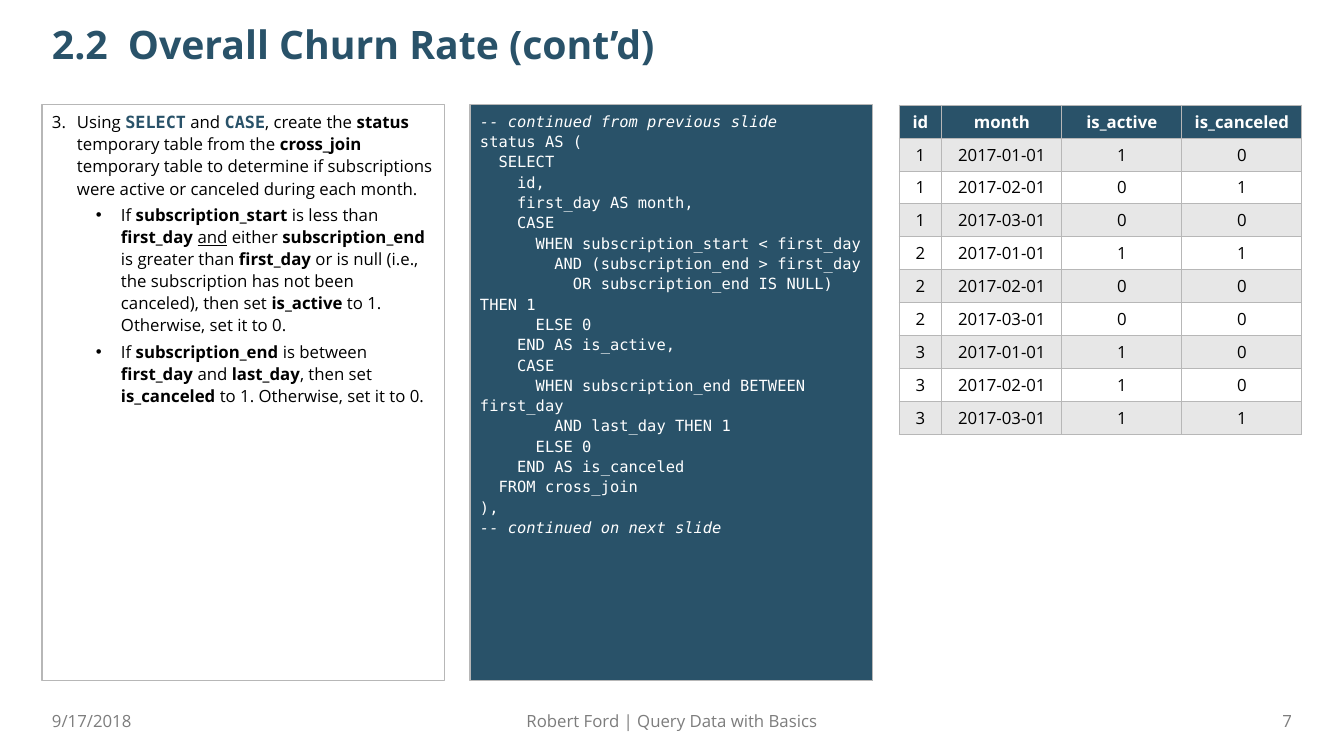
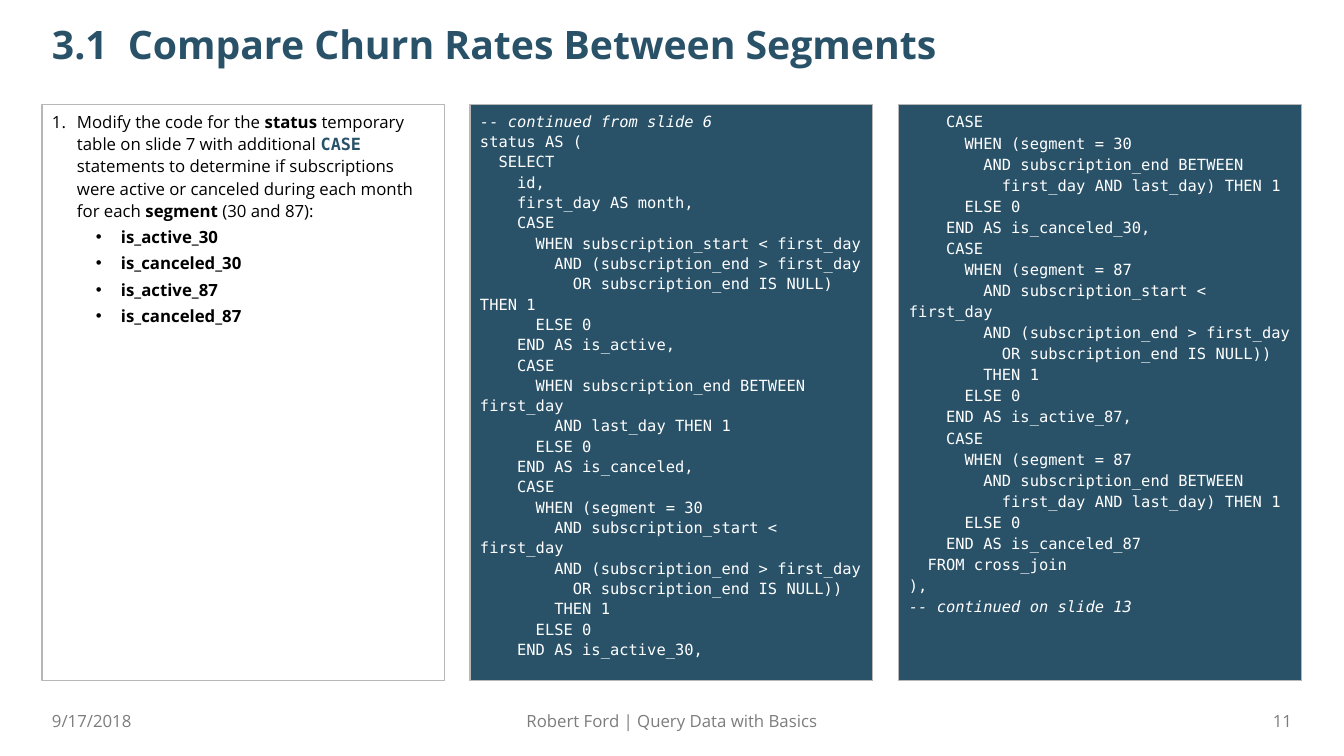
from dataclasses import dataclass

from lxml import etree
from pptx import Presentation
from pptx.dml.color import RGBColor
from pptx.enum.shapes import MSO_SHAPE
from pptx.enum.text import MSO_ANCHOR, PP_ALIGN
from pptx.oxml.ns import qn
from pptx.util import Emu, Pt


@dataclass(frozen=True)
class Theme:
    """Colours, fonts and type sizes shared by all slides."""
    navy: str = "295269"
    border: str = "B7B7B7"
    stripe: str = "E7E7E7"
    white: str = "FFFFFF"
    black: str = "000000"
    muted: str = "7D7D7D"
    sans: str = "Open Sans"
    mono: str = "DejaVu Sans Mono"
    title_size: float = 28
    body_size: float = 12
    code_size: float = 11
    body_leading: float = 15.8
    code_leading: float = 14.5
    loose_leading: float = 15.05
    rule: float = 0.75


T = Theme()
WIDTH, HEIGHT = 1344, 756
MARGIN, CONTENT = 42, 1260
COLUMN, COLUMN_TOP, COLUMN_HEIGHT = 403, 105, 576


def px(length):
    """Convert pixels to EMU at 100.8 pixels to the inch."""
    return Emu(round(length * 914400 / 100.8))


def column(index):
    """Return the box of one of the three evenly spaced columns."""
    left = MARGIN + index * (CONTENT - COLUMN) // 2
    return left, COLUMN_TOP, COLUMN, COLUMN_HEIGHT


def prepare(frame, anchor=MSO_ANCHOR.TOP):
    """Give a text frame wrapping, insets and an anchor."""
    frame.word_wrap = True
    frame.vertical_anchor = anchor
    frame.margin_left = frame.margin_right = px(10)
    frame.margin_top = frame.margin_bottom = px(5)


def add_run(paragraph, text, size, color, font=T.sans, bold=False,
            italic=False, underline=False):
    """Append a styled run."""
    run = paragraph.add_run()
    run.text = text
    style = run.font
    style.name, style.size = font, Pt(size)
    style.color.rgb = RGBColor.from_string(color)
    style.bold, style.italic, style.underline = bold, italic, underline


def hang(paragraph, left, hanging):
    """Set a hanging indent and return the paragraph properties."""
    properties = paragraph._p.get_or_add_pPr()
    properties.set("marL", str(px(left)))
    properties.set("indent", str(-px(hanging)))
    return properties


def add_label(slide, box, text, size, color, align=PP_ALIGN.LEFT, bold=False):
    """Add a single-line, vertically centred text box."""
    frame = slide.shapes.add_textbox(*map(px, box)).text_frame
    prepare(frame, MSO_ANCHOR.MIDDLE)
    paragraph = frame.paragraphs[0]
    paragraph.alignment = align
    add_run(paragraph, text, size, color, bold=bold)
    return paragraph


def add_panel(slide, box, fill=None):
    """Add a bordered rectangle and return its text frame."""
    panel = slide.shapes.add_shape(MSO_SHAPE.RECTANGLE, *map(px, box))
    panel.shadow.inherit = False
    if fill:
        panel.fill.solid()
        panel.fill.fore_color.rgb = RGBColor.from_string(fill)
    else:
        panel.fill.background()
    panel.line.color.rgb = RGBColor.from_string(T.border)
    panel.line.width = Pt(T.rule)
    prepare(panel.text_frame)
    return panel.text_frame


def next_paragraph(frame, index, leading):
    """Return a left-aligned paragraph with fixed line spacing."""
    paragraph = frame.add_paragraph() if index else frame.paragraphs[0]
    paragraph.alignment = PP_ALIGN.LEFT
    paragraph.line_spacing = Pt(leading)
    return paragraph


MARKS = {
    "*": dict(bold=True, color=T.black),
    "~": dict(underline=True, color=T.black),
    "`": dict(bold=True, color=T.navy, font=T.mono),
}


def add_marked_text(paragraph, text):
    """Write text where *bold*, ~underline~ and `keyword` spans are marked."""
    plain = dict(color=T.black)
    style, span = plain, ""
    for char in text:
        if char not in MARKS:
            span += char
            continue
        if span:
            add_run(paragraph, span, T.body_size, **style)
        style, span = (MARKS[char] if style is plain else plain), ""
    if span:
        add_run(paragraph, span, T.body_size, **style)


def add_step(slide, box, number, step, bullets):
    """Add the panel with one numbered step and its bullets."""
    frame = add_panel(slide, box)
    for index, text in enumerate([step, *bullets]):
        paragraph = next_paragraph(frame, index, T.body_leading)
        paragraph.space_before = Pt(3)
        if index:
            paragraph.level = 1
            properties = hang(paragraph, 69, 25)
            etree.SubElement(properties, qn("a:buFont"), typeface="Arial")
            etree.SubElement(properties, qn("a:buChar"), char="•")
        else:
            properties = hang(paragraph, 25, 25)
            etree.SubElement(properties, qn("a:buAutoNum"),
                             type="arabicPeriod", startAt=str(number))
        add_marked_text(paragraph, text)


def add_code(slide, box, lines, leading=T.code_leading):
    """Add a dark code panel; SQL comments are italic."""
    frame = add_panel(slide, box, T.navy)
    for index, line in enumerate(lines):
        add_run(next_paragraph(frame, index, leading), line, T.code_size,
                T.white, T.mono, italic=line.startswith("--"))


def add_borders(cell):
    """Draw thin lines on all four sides of a cell."""
    properties = cell._tc.get_or_add_tcPr()
    for side in "LRTB":
        line = etree.SubElement(properties, qn(f"a:ln{side}"),
                                w=str(Pt(T.rule)))
        fill = etree.SubElement(line, qn("a:solidFill"))
        etree.SubElement(fill, qn("a:srgbClr"), val=T.border)


def add_result_table(slide, box, widths, rows, row_height=33):
    """Add a striped table whose first row is the header."""
    left, top, width, _ = box
    size = (left, top, width, row_height * len(rows))
    table = slide.shapes.add_table(len(rows), len(widths),
                                   *map(px, size)).table
    for table_column, column_width in zip(table.columns, widths):
        table_column.width = px(column_width)
    for r, values in enumerate(rows):
        table.rows[r].height = px(row_height)
        header = r == 0
        fill = T.navy if header else (T.stripe if r % 2 else T.white)
        for c, value in enumerate(values):
            cell = table.cell(r, c)
            add_borders(cell)
            cell.fill.solid()
            cell.fill.fore_color.rgb = RGBColor.from_string(fill)
            paragraph = cell.text_frame.paragraphs[0]
            paragraph.alignment = PP_ALIGN.CENTER
            add_run(paragraph, str(value), T.body_size,
                    T.white if header else T.black, bold=header)


def add_footer(slide, page):
    """Add the date, the centred deck name and the page number."""
    top, height, side, middle = 701, 40, 302, 630
    for left, width, text, align in (
            (MARGIN, side, "9/17/2018", PP_ALIGN.LEFT),
            ((WIDTH - middle) // 2, middle,
             "Robert Ford | Query Data with Basics", PP_ALIGN.CENTER),
            (MARGIN + CONTENT - side, side, str(page), PP_ALIGN.RIGHT)):
        add_label(slide, (left, top, width, height), text, T.body_size,
                  T.muted, align)


def add_base_slide(deck, number, title, page):
    """Add a blank slide with its numbered title and footer."""
    slide = deck.slides.add_slide(deck.slide_layouts[6])
    heading = add_label(slide, (MARGIN, 15, CONTENT, 63),
                        f"{number}\t{title}", T.title_size, T.navy, bold=True)
    heading.line_spacing = 0.9
    hang(heading, 76, 76)
    add_footer(slide, page)
    return slide


STATUS_QUERY = """status AS (
  SELECT
    id,
    first_day AS month,
    CASE
      WHEN subscription_start < first_day
        AND (subscription_end > first_day
          OR subscription_end IS NULL) THEN 1
      ELSE 0
    END AS is_active,
    CASE
      WHEN subscription_end BETWEEN first_day
        AND last_day THEN 1
      ELSE 0
    END AS is_canceled""".split("\n")
QUERY_END = ["  FROM cross_join", "),"]


def active_case(segment):
    """Return the code lines of a segment's is_active column."""
    return f"""    CASE
      WHEN (segment = {segment}
        AND subscription_start < first_day
        AND (subscription_end > first_day
          OR subscription_end IS NULL))
        THEN 1
      ELSE 0
    END AS is_active_{segment},""".split("\n")


def canceled_case(segment, ending=""):
    """Return the code lines of a segment's is_canceled column."""
    return f"""    CASE
      WHEN (segment = {segment}
        AND subscription_end BETWEEN
          first_day AND last_day) THEN 1
      ELSE 0
    END AS is_canceled_{segment}{ending}""".split("\n")


def build_overall_churn(deck):
    """Build the slide on the status table and its result."""
    slide = add_base_slide(deck, "2.2", "Overall Churn Rate (cont’d)", 7)
    add_step(slide, column(0), 3,
             "Using `SELECT` and `CASE`, create the *status* temporary table "
             "from the *cross_join* temporary table to determine if "
             "subscriptions were active or canceled during each month.",
             ["If *subscription_start* is less than *first_day *~and~ either "
              "*subscription_end* is greater than *first_day* or is null "
              "(i.e., the subscription has not been canceled), then set "
              "*is_active* to 1. Otherwise, set it to 0.",
              "If *subscription_end *is between *first_day *and *last_day*, "
              "then set *is_canceled *to 1. Otherwise, set it to 0."])
    add_code(slide, column(1),
             ["-- continued from previous slide", *STATUS_QUERY, *QUERY_END,
              "-- continued on next slide"])
    flags = ["10", "01", "00", "11", "00", "00", "10", "10", "11"]
    rows = [(i // 3 + 1, f"2017-0{i % 3 + 1}-01", *pair)
            for i, pair in enumerate(flags)]
    add_result_table(slide, column(2), (43, 120, 120, 120),
                     [("id", "month", "is_active", "is_canceled"), *rows])


def build_segment_comparison(deck):
    """Build the slide that adds columns for both segments."""
    slide = add_base_slide(deck, "3.1",
                           "Compare Churn Rates Between Segments", 11)
    add_step(slide, column(0), 1,
             "Modify the code for the *status *temporary table on slide 7 "
             "with additional `CASE` statements to determine if subscriptions "
             "were active or canceled during each month for each *segment* "
             "(30 and 87):",
             [f"*is_{state}_{segment}*" for segment in (30, 87)
              for state in ("active", "canceled")])
    add_code(slide, column(1),
             ["-- continued from slide 6", *STATUS_QUERY[:-1],
              STATUS_QUERY[-1] + ",", *active_case(30)])
    add_code(slide, column(2),
             [*canceled_case(30, ","), *active_case(87), *canceled_case(87),
              *QUERY_END, "-- continued on slide 13"], T.loose_leading)


deck = Presentation()
deck.slide_width, deck.slide_height = px(WIDTH), px(HEIGHT)
build_overall_churn(deck)
build_segment_comparison(deck)
deck.save("out.pptx")
